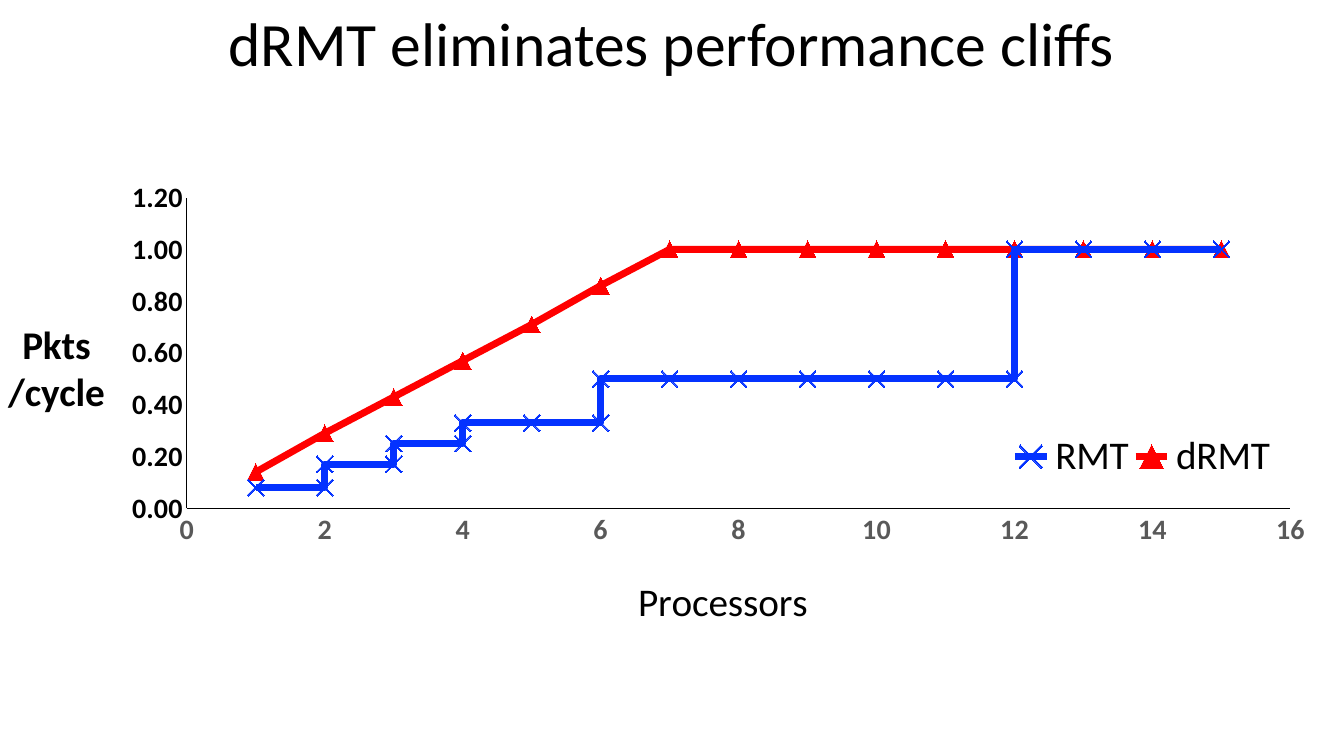
from lxml import etree
from pptx import Presentation
from pptx import util as u
from pptx.chart.data import XyChartData
from pptx.dml.color import RGBColor
from pptx.enum import chart as ch, text
from pptx.oxml.ns import qn

# Content
TITLE = "dRMT eliminates performance cliffs"
PROCESSORS = range(1, 16)
RMT = [0.08, 0.17, 0.25, 0.33, 0.33] + [0.5] * 6 + [1] * 4
DRMT = [0.14, 0.29, 0.43, 0.57, 0.71, 0.86] + [1] * 9
X_TITLE = ["Processors"]
Y_TITLE = ["Pkts", "/cycle"]

BLACK = RGBColor(0x00, 0x00, 0x00)
GREY = RGBColor(0x59, 0x59, 0x59)
BLUE = RGBColor(0x04, 0x32, 0xFF)
RED = RGBColor(0xFF, 0x00, 0x00)
FONT = "Calibri"

# Shares of the chart's size: left, top, width, height
PLOT_AREA = {"x": 0.15, "y": 0.05, "w": 0.82, "h": 0.57}
LEGEND_AREA = {"x": 0.76, "y": 0.48, "w": 0.2, "h": 0.09}
X_TITLE_AT = {"x": 0.48, "y": 0.73}
Y_TITLE_AT = {"x": 0.015, "y": 0.27}


def set_font(font, size, color=BLACK, bold=False):
    font.name, font.size, font.bold = FONT, u.Pt(size), bold
    font.color.rgb = color


def place(element, area, inner=False):
    """Give a chart part a manual layout."""
    for old in element.findall(qn("c:layout")):
        element.remove(old)
    layout = etree.Element(qn("c:layout"))
    manual = etree.SubElement(layout, qn("c:manualLayout"))
    if inner:
        etree.SubElement(manual, qn("c:layoutTarget"), val="inner")
    for key in ("x", "y"):
        etree.SubElement(manual, qn(f"c:{key}Mode"), val="edge")
    for key, share in area.items():
        etree.SubElement(manual, qn(f"c:{key}"), val=str(share))
    overlay = element.find(qn("c:overlay"))
    if overlay is None:
        element.insert(0, layout)
    else:
        overlay.addprevious(layout)


def format_axis(axis, top, step, number_format, color, lines, bold):
    axis.minimum_scale, axis.maximum_scale, axis.major_unit = 0, top, step
    axis.has_major_gridlines = False
    axis.major_tick_mark = axis.minor_tick_mark = ch.XL_TICK_MARK.NONE
    axis.format.line.color.rgb = BLACK
    axis.format.line.width = u.Pt(0.75)
    axis.tick_labels.number_format = number_format
    axis.tick_labels.number_format_is_linked = False
    set_font(axis.tick_labels.font, 20, color, True)
    tf = axis.axis_title.text_frame
    for i, line in enumerate(lines):
        p = tf.add_paragraph() if i else tf.paragraphs[0]
        p.alignment = text.PP_ALIGN.CENTER
        set_font(p.font, 28, BLACK, bold)
        r = p.add_run()
        r.text = line
        set_font(r.font, 28, BLACK, bold)


prs = Presentation()
prs.slide_width, prs.slide_height = u.Inches(13.33), u.Inches(7.5)
slide = prs.slides.add_slide(prs.slide_layouts[5])

# Title
title = slide.shapes.title
title.left, title.top = u.Inches(0.54), u.Inches(-0.26)
title.width, title.height = u.Inches(12.25), u.Inches(1.45)
tf = title.text_frame
tf.text = TITLE
tf.vertical_anchor = text.MSO_ANCHOR.MIDDLE
p = tf.paragraphs[0]
p.alignment = text.PP_ALIGN.CENTER
p.line_spacing = 0.9
set_font(p.font, 44)

# Chart data: RMT rises in steps, so each count has a point before and after
data = XyChartData()
rmt = data.add_series("RMT")
for n, before, after in zip(PROCESSORS, RMT[:1] + RMT, RMT):
    rmt.add_data_point(n, before)
    rmt.add_data_point(n, after)
drmt = data.add_series("dRMT")
for n, rate in zip(PROCESSORS, DRMT):
    drmt.add_data_point(n, rate)

chart = slide.shapes.add_chart(
    ch.XL_CHART_TYPE.XY_SCATTER_LINES, u.Inches(-0.15), u.Inches(1.69),
    u.Inches(13.35), u.Inches(5.41), data).chart
chart.has_title = False
set_font(chart.font, 10)
plot = chart.plots[0]
plot.vary_by_categories = False

# Series
styles = [(BLUE, ch.XL_MARKER_STYLE.X), (RED, ch.XL_MARKER_STYLE.TRIANGLE)]
for series, (color, style) in zip(plot.series, styles):
    series.smooth = False
    series.format.line.color.rgb = color
    series.format.line.width = u.Pt(5)
    marker = series.marker
    marker.style, marker.size = style, 12
    marker.format.fill.solid()
    marker.format.fill.fore_color.rgb = color
    marker.format.line.color.rgb = color

# Axes
format_axis(chart.category_axis, 16, 2, "General", GREY, X_TITLE, False)
format_axis(chart.value_axis, 1.2, 0.2, "0.00", BLACK, Y_TITLE, True)

# Legend
chart.has_legend = True
legend = chart.legend
legend.position = ch.XL_LEGEND_POSITION.BOTTOM
legend.include_in_layout = True
set_font(legend.font, 28)

# Layout of the chart parts
space = chart._chartSpace
x_title, y_title = space.xpath(".//c:valAx/c:title")
y_body = y_title.find(".//" + qn("a:bodyPr"))
y_body.set("rot", "0")
y_body.set("vert", "horz")
place(x_title, X_TITLE_AT)
place(y_title, Y_TITLE_AT)
place(space.xpath(".//c:legend")[0], LEGEND_AREA)
place(space.xpath(".//c:plotArea")[0], PLOT_AREA, inner=True)

prs.save("out.pptx")
